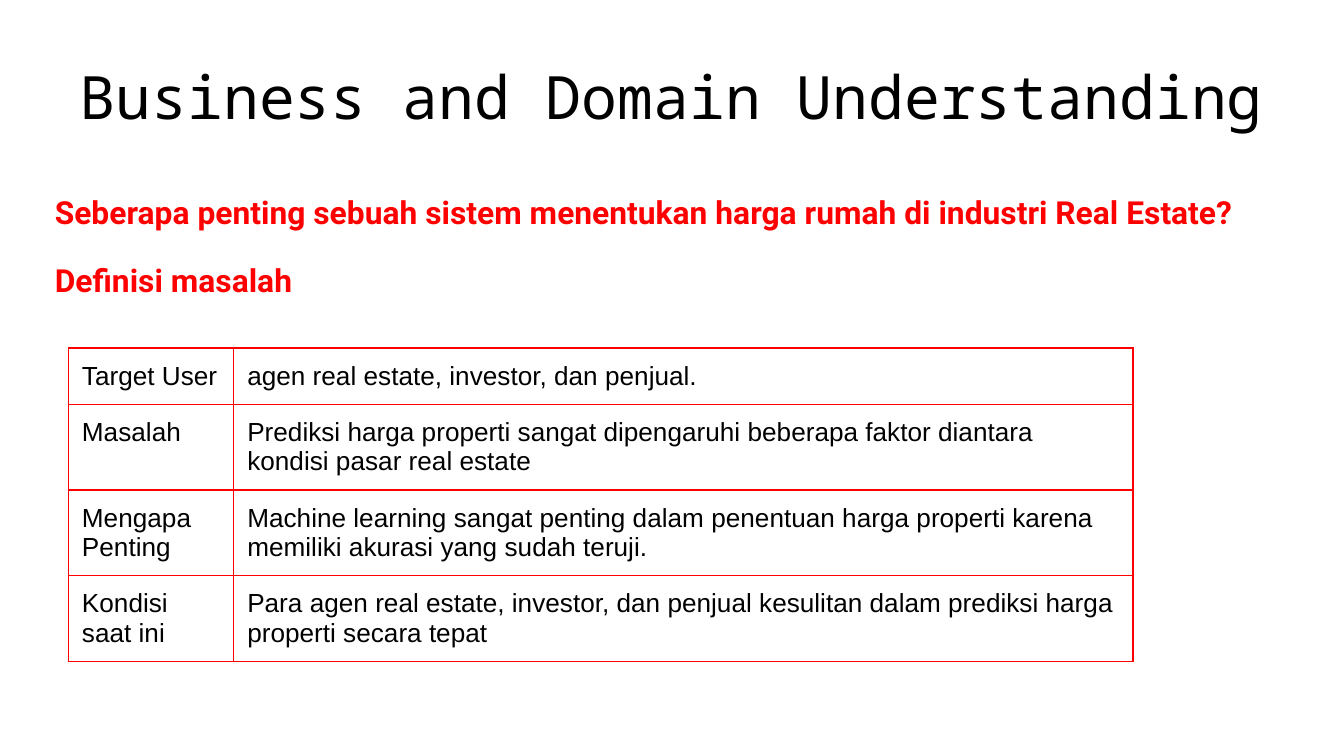
import pptx
import pptx.dml.color
import pptx.enum.text
import pptx.oxml
import pptx.oxml.ns
import pptx.util

PX = 9144
INSET = 10
COLORS = {"ink": "000000", "accent": "FF0000"}
HEADINGS = [
    ("Seberapa penting sebuah sistem menentukan harga rumah di industri Real Estate?", 137),
    ("Definisi masalah", 187),
]
COLUMN_WIDTHS = [123, 669]
ROW_HEIGHTS = [27, 42, 42, 42]
PROBLEM_ROWS = [
    ("Target User", "agen real estate, investor, dan penjual."),
    ("Masalah", "Prediksi harga properti sangat dipengaruhi beberapa faktor diantara "
                "kondisi pasar real estate"),
    ("Mengapa Penting", "Machine learning sangat penting dalam penentuan harga properti karena "
                        "memiliki akurasi yang sudah teruji."),
    ("Kondisi saat ini", "Para agen real estate, investor, dan penjual kesulitan dalam prediksi "
                         "harga properti secara tepat"),
]


def px(*lengths):
    """Turn px lengths into EMU."""
    return [pptx.util.Emu(length * PX) for length in lengths]


def set_insets(holder, right=INSET):
    """Set the margins of a text frame or a table cell."""
    holder.margin_left, holder.margin_top, holder.margin_bottom = px(INSET, INSET, INSET)
    holder.margin_right = px(right)[0]


def add_span(para, text, font, size, color, bold=False):
    """Add one formatted run to a paragraph."""
    span = para.add_run()
    span.text = text
    span.font.name = font
    span.font.size = pptx.util.Pt(size)
    span.font.bold = bold
    span.font.color.rgb = pptx.dml.color.RGBColor.from_string(COLORS[color])


def prepare_frame(shape, anchor):
    """Format the text frame of a shape and return its first paragraph."""
    frame = shape.text_frame
    frame.word_wrap = True
    frame.auto_size = pptx.enum.text.MSO_AUTO_SIZE.NONE
    frame.vertical_anchor = anchor
    set_insets(frame)
    return frame.paragraphs[0]


def place_title(page, box):
    """Place the title in its placeholder."""
    title = page.shapes.title
    title.left, title.top, title.width, title.height = px(*box)
    para = prepare_frame(title, pptx.enum.text.MSO_ANCHOR.BOTTOM)
    para.alignment = pptx.enum.text.PP_ALIGN.CENTER
    add_span(para, "Business and Domain Understanding", "Noto Sans Mono", 32, "ink")


def add_heading(page, box, text):
    """Add a red section heading."""
    heading = page.shapes.add_textbox(*px(*box))
    para = prepare_frame(heading, pptx.enum.text.MSO_ANCHOR.TOP)
    para.line_spacing = 0.9
    add_span(para, text, "Roboto", 17, "accent", bold=True)


def outline_cell(cell):
    """Draw thin red borders around a cell without a fill."""
    properties = cell._tc.get_or_add_tcPr()
    for side in ("lnL", "lnR", "lnT", "lnB"):
        properties.append(pptx.oxml.parse_xml(
            f'<a:{side} {pptx.oxml.ns.nsdecls("a")} w="{pptx.util.Pt(0.75)}">'
            f'<a:solidFill><a:srgbClr val="{COLORS["accent"]}"/></a:solidFill></a:{side}>'))
    cell.fill.background()


def add_problem_table(page, left, top):
    """Add the table that defines the problem."""
    size = px(left, top, sum(COLUMN_WIDTHS), sum(ROW_HEIGHTS))
    table = page.shapes.add_table(len(PROBLEM_ROWS), len(COLUMN_WIDTHS), *size).table
    table.first_row = table.horz_banding = False
    for column, width in zip(table.columns, px(*COLUMN_WIDTHS)):
        column.width = width
    for row, height, texts in zip(table.rows, px(*ROW_HEIGHTS), PROBLEM_ROWS):
        row.height = height
        for cell, text in zip(row.cells, texts):
            set_insets(cell)
            outline_cell(cell)
            add_span(cell.text_frame.paragraphs[0], text, "Arial", 14, "ink")
    set_insets(table.cell(0, 0), right=0)


def main():
    """Build the deck."""
    deck = pptx.Presentation()
    deck.slide_width = px(1000)[0]
    deck.slide_height = deck.slide_width * 9 // 16
    page = deck.slides.add_slide(deck.slide_layouts[5])
    place_title(page, (34, 21, 932, 87))
    for text, top in HEADINGS:
        add_heading(page, (31, top, 943, 65), text)
    add_problem_table(page, 51, 259)
    deck.save("out.pptx")


if __name__ == "__main__":
    main()
